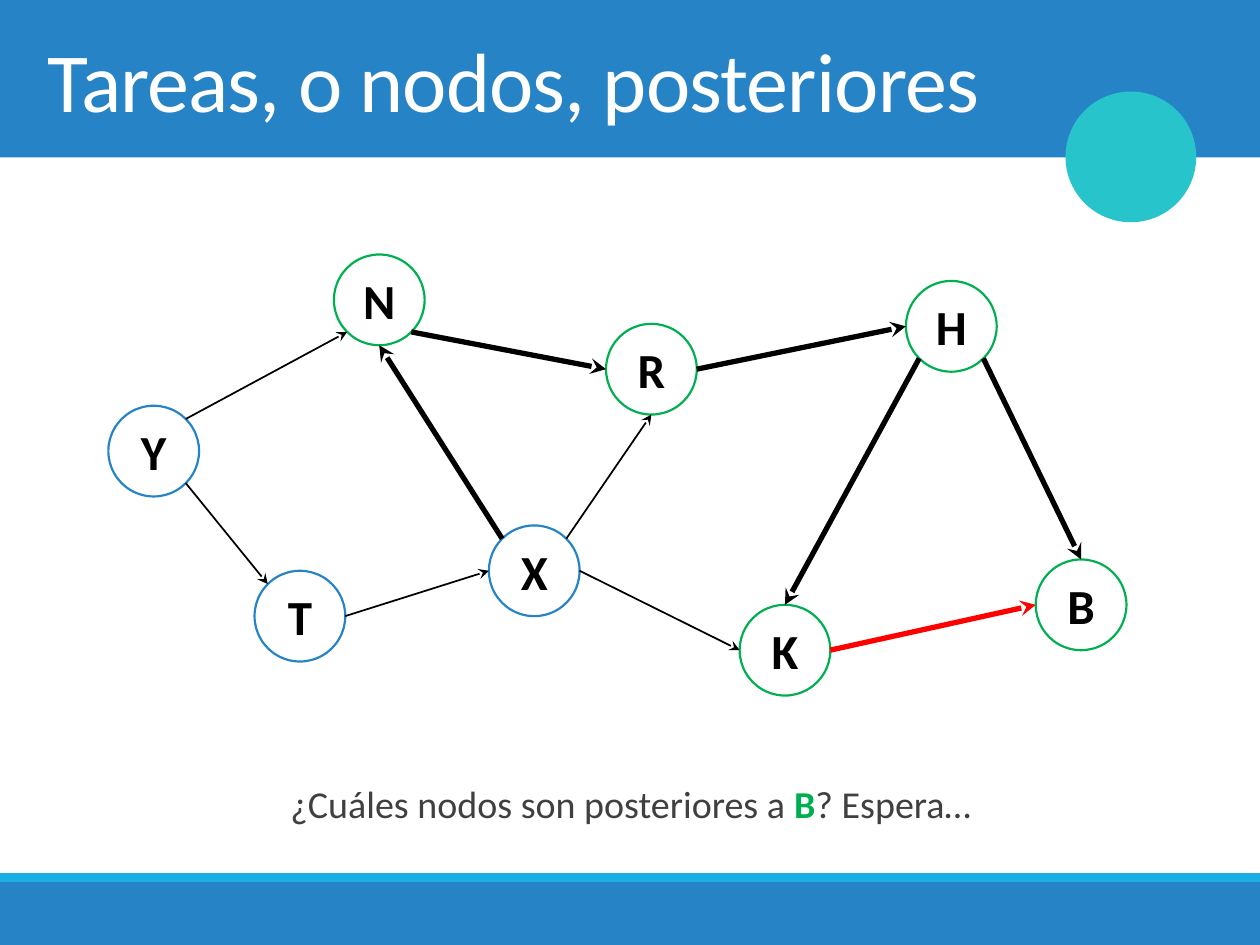
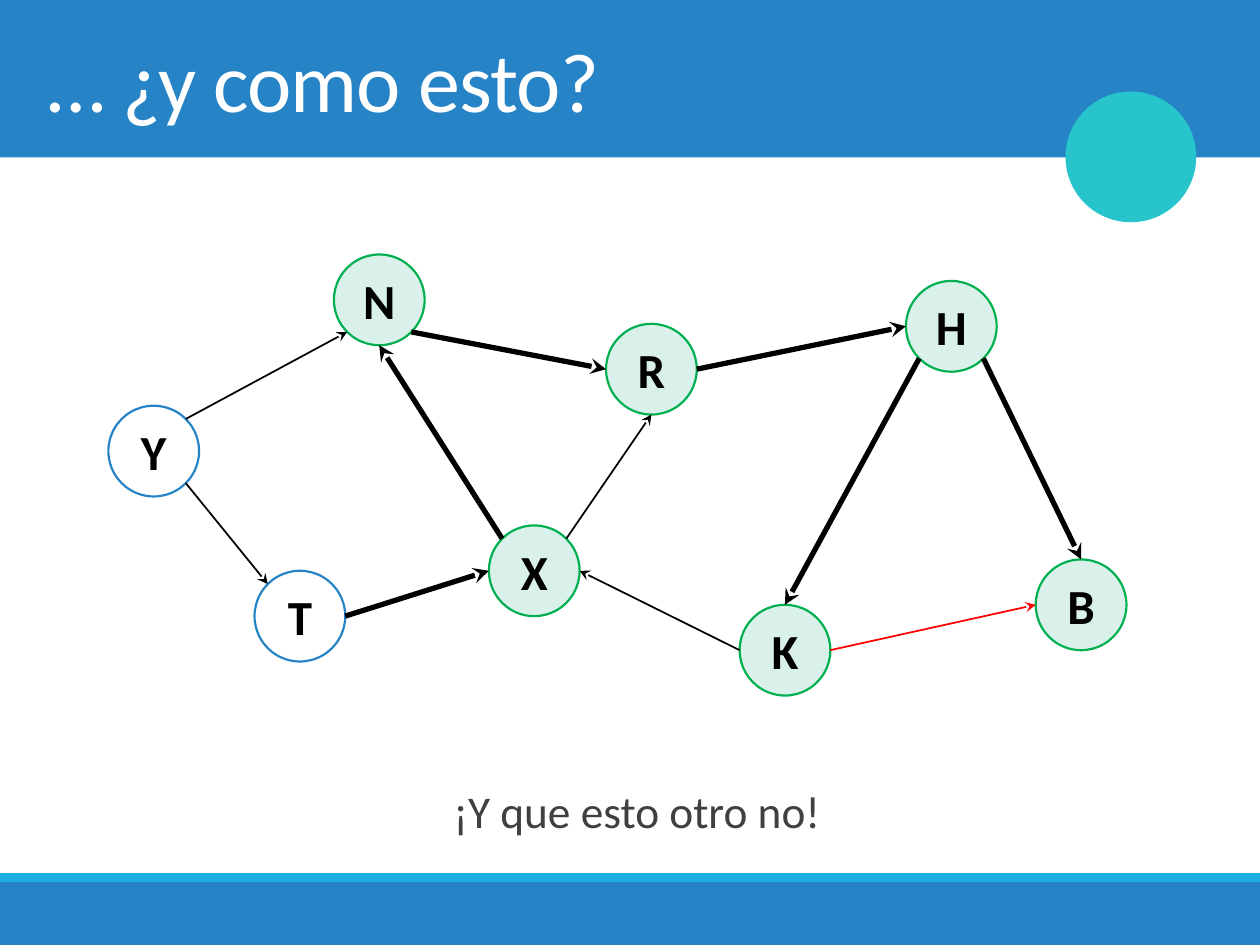
from math import sqrt
from typing import NamedTuple

from lxml import etree
from pptx import Presentation
from pptx.dml.color import RGBColor
from pptx.enum import shapes, text
from pptx.oxml import ns
from pptx.util import Inches, Pt

BLUE = RGBColor(0x26, 0x83, 0xC6)
SKY = RGBColor(0x1C, 0xAD, 0xE4)
TEAL = RGBColor(0x28, 0xC4, 0xCC)
GREEN = RGBColor(0x00, 0xB0, 0x50)
MINT = RGBColor(0xD9, 0xF1, 0xEA)
GREY = RGBColor(0x40, 0x40, 0x40)
WHITE = RGBColor(0xFF, 0xFF, 0xFF)
BLACK = RGBColor(0x00, 0x00, 0x00)
RED = RGBColor(0xFF, 0x00, 0x00)

FONT = "Calibri"
RECT = shapes.MSO_SHAPE.RECTANGLE
OVAL = shapes.MSO_SHAPE.OVAL
SIZE = 0.72
HALF = SIZE / 2
SLANT = HALF / sqrt(2)
THIN, THICK = 1, 3

SIDES = {
    "top": (0, -HALF), "bottom": (0, HALF), "left": (-HALF, 0), "right": (HALF, 0),
    "nw": (-SLANT, -SLANT), "ne": (SLANT, -SLANT),
    "sw": (-SLANT, SLANT), "se": (SLANT, SLANT),
}


class Box(NamedTuple):
    left: float
    top: float
    width: float
    height: float


class Band(NamedTuple):
    kind: int
    box: Box
    fill: RGBColor
    line: float = 0


class Edge(NamedTuple):
    start: str
    exit: str
    end: str
    entry: str
    width: float = THIN
    color: RGBColor = BLACK


class Span(NamedTuple):
    words: str
    size: float
    color: RGBColor
    bold: bool = False
    gap: int = 0


class Page(NamedTuple):
    title: str
    note: list[Span]
    indent: float
    green: str
    tint: RGBColor
    edges: list[Edge]


BANDS = [
    Band(RECT, Box(0, 0, 10, 1.25), BLUE),
    Band(RECT, Box(0, 7, 10, 0.5), BLUE),
    Band(RECT, Box(0, 6.93, 10, 0.07), SKY),
    Band(OVAL, Box(8.47, 0.74, 1.01, 1.01), TEAL, 2),
]
HEAD = Box(0.28, 0, 9.45, 1.25)
FOOT = Box(0.28, 6.04, 9.45, 0.63)

NODES = {
    "Y": (0.86, 3.22), "N": (2.65, 2.02), "T": (2.02, 4.53), "X": (3.88, 4.17),
    "R": (4.81, 2.57), "K": (5.87, 4.8), "H": (7.19, 2.23), "B": (8.22, 4.44),
}

EDGES = [
    Edge("Y", "ne", "N", "sw"),
    Edge("Y", "se", "T", "nw"),
    Edge("N", "se", "R", "left", THICK),
    Edge("T", "right", "X", "left"),
    Edge("X", "ne", "R", "bottom"),
    Edge("R", "right", "H", "left", THICK),
    Edge("H", "sw", "K", "top", THICK),
    Edge("X", "nw", "N", "bottom", THICK),
    Edge("X", "right", "K", "left"),
    Edge("K", "right", "B", "left", THICK, RED),
    Edge("H", "se", "B", "top", THICK),
]

SWAPS = {
    ("T", "X"): Edge("T", "right", "X", "left", THICK),
    ("X", "K"): Edge("K", "left", "X", "right"),
    ("K", "B"): Edge("K", "right", "B", "left", THIN, RED),
}

PAGES = [
    Page(
        "Tareas, o nodos, posteriores",
        [
            Span("¿Cuáles nodos son posteriores a ", 21.7, GREY),
            Span("B", 21.7, GREEN, True),
            Span("? Espera…", 21.7, GREY),
        ],
        0, "NRKHB", WHITE, EDGES,
    ),
    Page(
        "… ¿y como esto?",
        [Span("¡Y que esto otro no!", 25.9, GREY)],
        0.1, "NXRKHB", MINT,
        [SWAPS.get((edge.start, edge.end), edge) for edge in EDGES],
    ),
]


def add_span(para, span: Span) -> None:
    run = para.add_run()
    run.text = span.words
    run.font.name = FONT
    run.font.size = Pt(span.size)
    run.font.bold = span.bold
    run.font.color.rgb = span.color
    if span.gap:
        run.font._element.set("spc", str(span.gap))


def add_form(slide, kind: int, box: Box, fill: RGBColor, line: RGBColor, width: float):
    form = slide.shapes.add_shape(kind, *map(Inches, box))
    form.shadow.inherit = False
    form.fill.solid()
    form.fill.fore_color.rgb = fill
    if width:
        form.line.color.rgb = line
        form.line.width = Pt(width)
    else:
        form.line.fill.background()
    return form


def add_words(slide, box: Box, spans: list[Span]):
    frame = slide.shapes.add_textbox(*map(Inches, box)).text_frame
    frame.word_wrap = True
    for span in spans:
        add_span(frame.paragraphs[0], span)
    return frame


def add_node(slide, name: str, page: Page) -> None:
    chosen = name in page.green
    fill, line = (page.tint, GREEN) if chosen else (WHITE, BLUE)
    node = add_form(slide, OVAL, Box(*NODES[name], SIZE, SIZE), fill, line, 1.25)
    frame = node.text_frame
    frame.vertical_anchor = text.MSO_ANCHOR.MIDDLE
    para = frame.paragraphs[0]
    para.alignment = text.PP_ALIGN.CENTER
    add_span(para, Span(name, 28, BLACK, True))


def find_point(name: str, side: str) -> tuple[Inches, Inches]:
    left, top = NODES[name]
    across, down = SIDES[side]
    return Inches(left + HALF + across), Inches(top + HALF + down)


def add_edge(slide, edge: Edge) -> None:
    line = slide.shapes.add_connector(
        shapes.MSO_CONNECTOR.STRAIGHT,
        *find_point(edge.start, edge.exit),
        *find_point(edge.end, edge.entry),
    )
    line.line.color.rgb = edge.color
    line.line.width = Pt(edge.width)
    etree.SubElement(line.line._get_or_add_ln(), ns.qn("a:tailEnd"), type="stealth")
    etree.SubElement(line._element.spPr, ns.qn("a:effectLst"))


def add_page(deck, page: Page) -> None:
    slide = deck.slides.add_slide(deck.slide_layouts[6])
    for band in BANDS:
        add_form(slide, band.kind, band.box, band.fill, band.fill, band.line)

    title = add_words(slide, HEAD, [Span(page.title, 48, WHITE, gap=-50)])
    title.vertical_anchor = text.MSO_ANCHOR.MIDDLE

    para = add_words(slide, FOOT, page.note).paragraphs[0]
    para.alignment = text.PP_ALIGN.CENTER
    para.line_spacing = 1.3
    para.space_before = Pt(12)
    para.space_after = Pt(2)
    if page.indent:
        para._p.get_or_add_pPr().set("marL", str(Inches(page.indent)))

    for name in NODES:
        add_node(slide, name, page)
    for edge in page.edges:
        add_edge(slide, edge)


def main() -> None:
    deck = Presentation()
    deck.slide_width = Inches(10)
    deck.slide_height = Inches(7.5)
    for page in PAGES:
        add_page(deck, page)
    deck.save("out.pptx")


if __name__ == "__main__":
    main()
